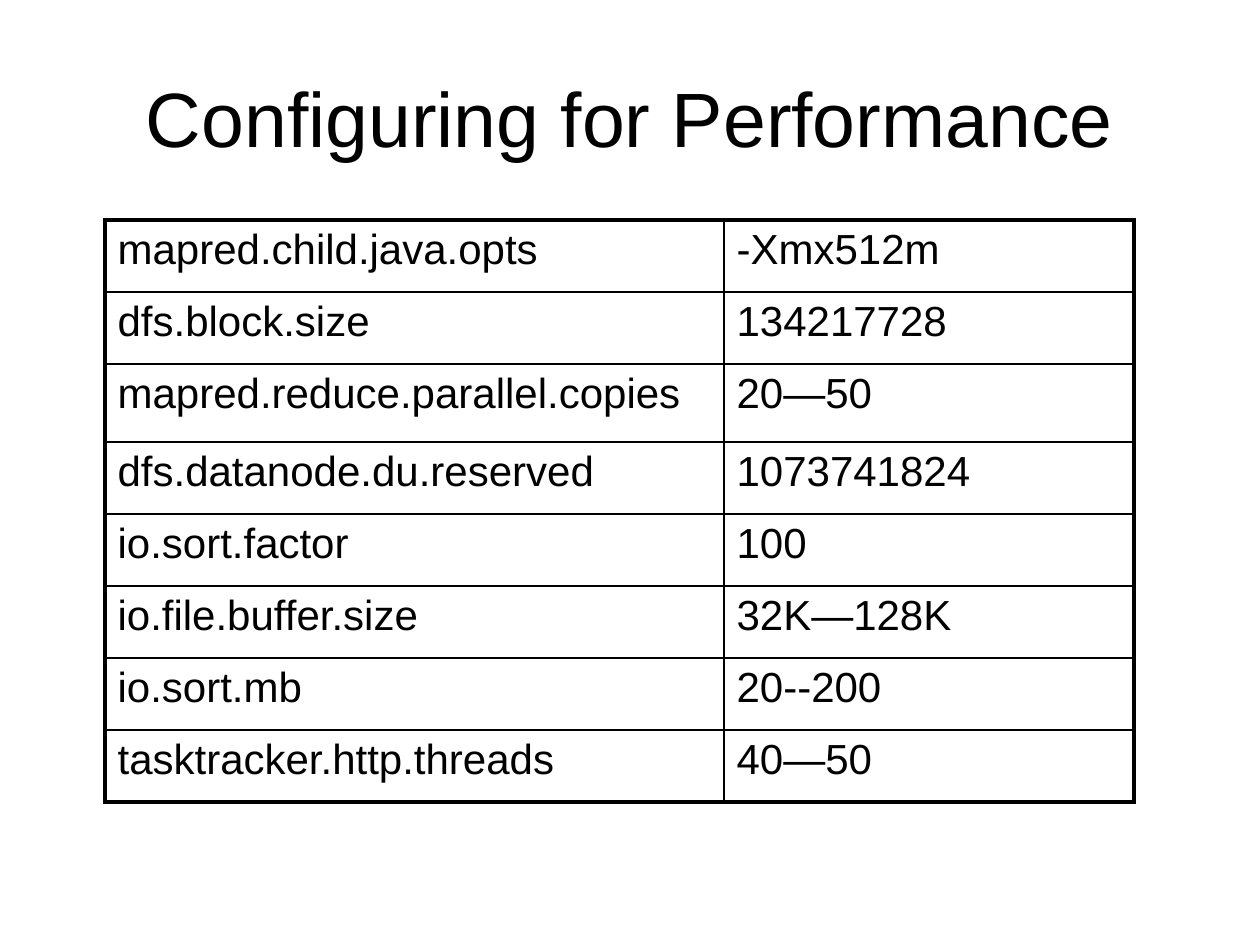
from dataclasses import dataclass

from lxml import etree
from pptx import Presentation
from pptx.dml.color import RGBColor
from pptx.enum.text import MSO_ANCHOR, PP_ALIGN
from pptx.oxml.ns import qn
from pptx.util import Emu, Pt

MIDDLE = MSO_ANCHOR.MIDDLE
CENTER = PP_ALIGN.CENTER
TITLE_ONLY = 5


@dataclass(frozen=True)
class Theme:
    font: str = "Arial"
    ink: str = "000000"
    title_size: int = 44
    cell_size: int = 24
    outer_line: float = 2.25
    inner_line: float = 1
    space_before: str = "20000"


@dataclass(frozen=True)
class Setting:
    name: str
    value: str
    height: int = 72


THEME = Theme()
COLUMNS = (619, 410)
SETTINGS = (
    Setting("mapred.child.java.opts", "-Xmx512m"),
    Setting("dfs.block.size", "134217728"),
    Setting("mapred.reduce.parallel.copies", "20—50", 78),
    Setting("dfs.datanode.du.reserved", "1073741824"),
    Setting("io.sort.factor", "100"),
    Setting("io.file.buffer.size", "32K—128K"),
    Setting("io.sort.mb", "20--200"),
    Setting("tasktracker.http.threads", "40—50"),
)


def px(n: int) -> Emu:
    return Emu(round(n * 914400 / 126))


def add_run(p, text: str, size: int) -> None:
    r = p.add_run()
    r.text = text
    r.font.name = THEME.font
    r.font.size = Pt(size)
    r.font.color.rgb = RGBColor.from_string(THEME.ink)


def set_borders(cell, outer: dict[str, bool]) -> None:
    tc_pr = cell._tc.get_or_add_tcPr()
    for i, (side, is_outer) in enumerate(outer.items()):
        width = THEME.outer_line if is_outer else THEME.inner_line
        ln = etree.Element(qn(f"a:ln{side}"), w=str(Pt(width)))
        fill = etree.SubElement(ln, qn("a:solidFill"))
        etree.SubElement(fill, qn("a:srgbClr"), val=THEME.ink)
        tc_pr.insert(i, ln)


def fill_cell(cell, text: str) -> None:
    cell.fill.background()
    p = cell.text_frame.paragraphs[0]
    spacing = etree.SubElement(p._p.get_or_add_pPr(), qn("a:spcBef"))
    etree.SubElement(spacing, qn("a:spcPct"), val=THEME.space_before)
    add_run(p, text, THEME.cell_size)


def add_title(slide, text: str) -> None:
    sp = slide.shapes.title
    sp.left, sp.top, sp.width, sp.height = map(px, (63, 38, 1134, 158))
    tf = sp.text_frame
    tf.vertical_anchor = MIDDLE
    p = tf.paragraphs[0]
    p.alignment = CENTER
    add_run(p, text, THEME.title_size)


def add_settings(slide, left: int, top: int) -> None:
    height = sum(s.height for s in SETTINGS)
    last_row, last_col = len(SETTINGS) - 1, len(COLUMNS) - 1
    table = slide.shapes.add_table(
        len(SETTINGS), len(COLUMNS), px(left), px(top), px(sum(COLUMNS)), px(height)
    ).table
    table.first_row = table.horz_banding = False
    for column, width in zip(table.columns, COLUMNS):
        column.width = px(width)
    for i, setting in enumerate(SETTINGS):
        table.rows[i].height = px(setting.height)
        for j, text in enumerate((setting.name, setting.value)):
            cell = table.cell(i, j)
            fill_cell(cell, text)
            set_borders(
                cell, {"L": j == 0, "R": j == last_col, "T": i == 0, "B": i == last_row}
            )


prs = Presentation()
prs.slide_width, prs.slide_height = px(1260), px(945)
s = prs.slides.add_slide(prs.slide_layouts[TITLE_ONLY])
add_title(s, "Configuring for Performance")
add_settings(s, 105, 220)
prs.save("out.pptx")
